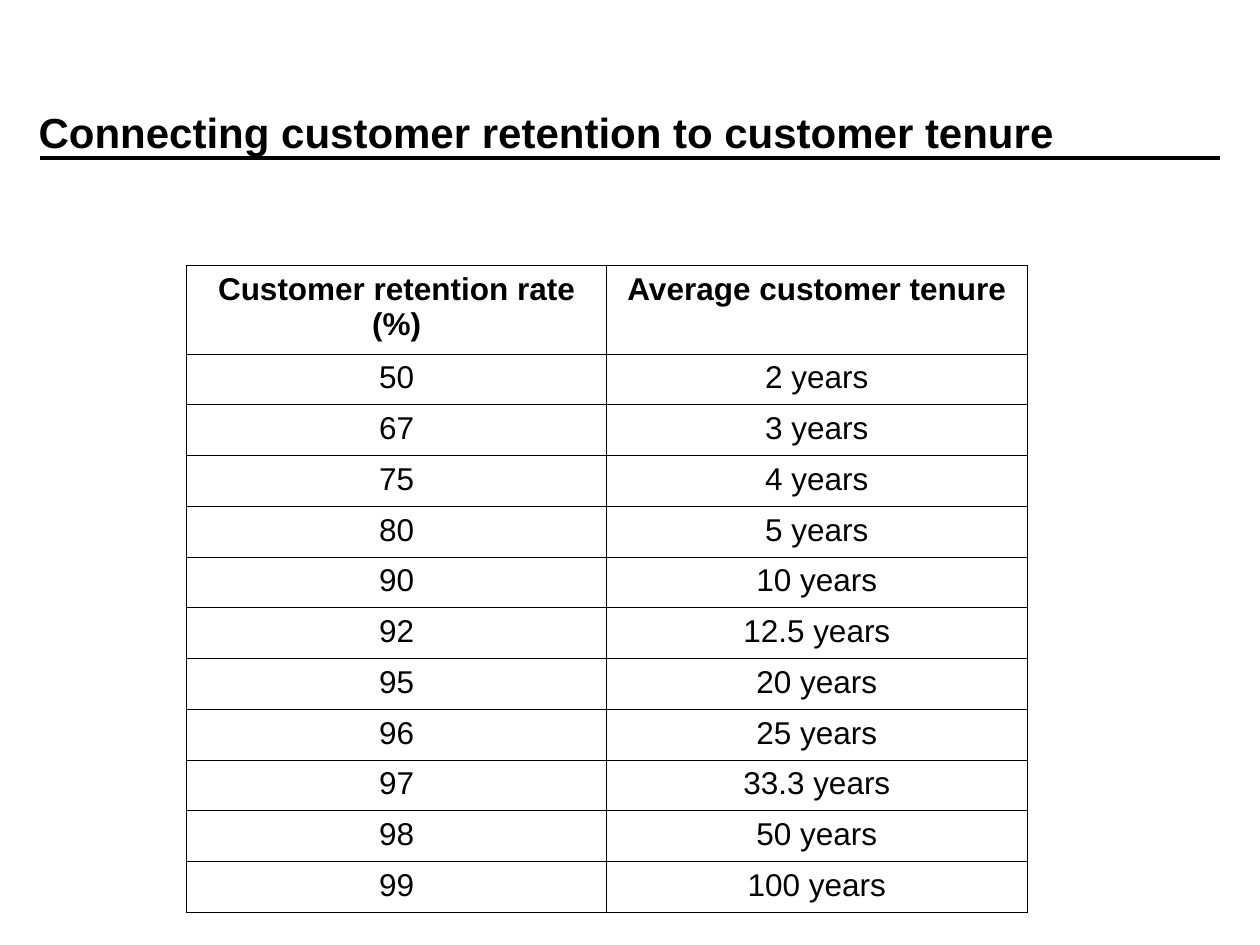
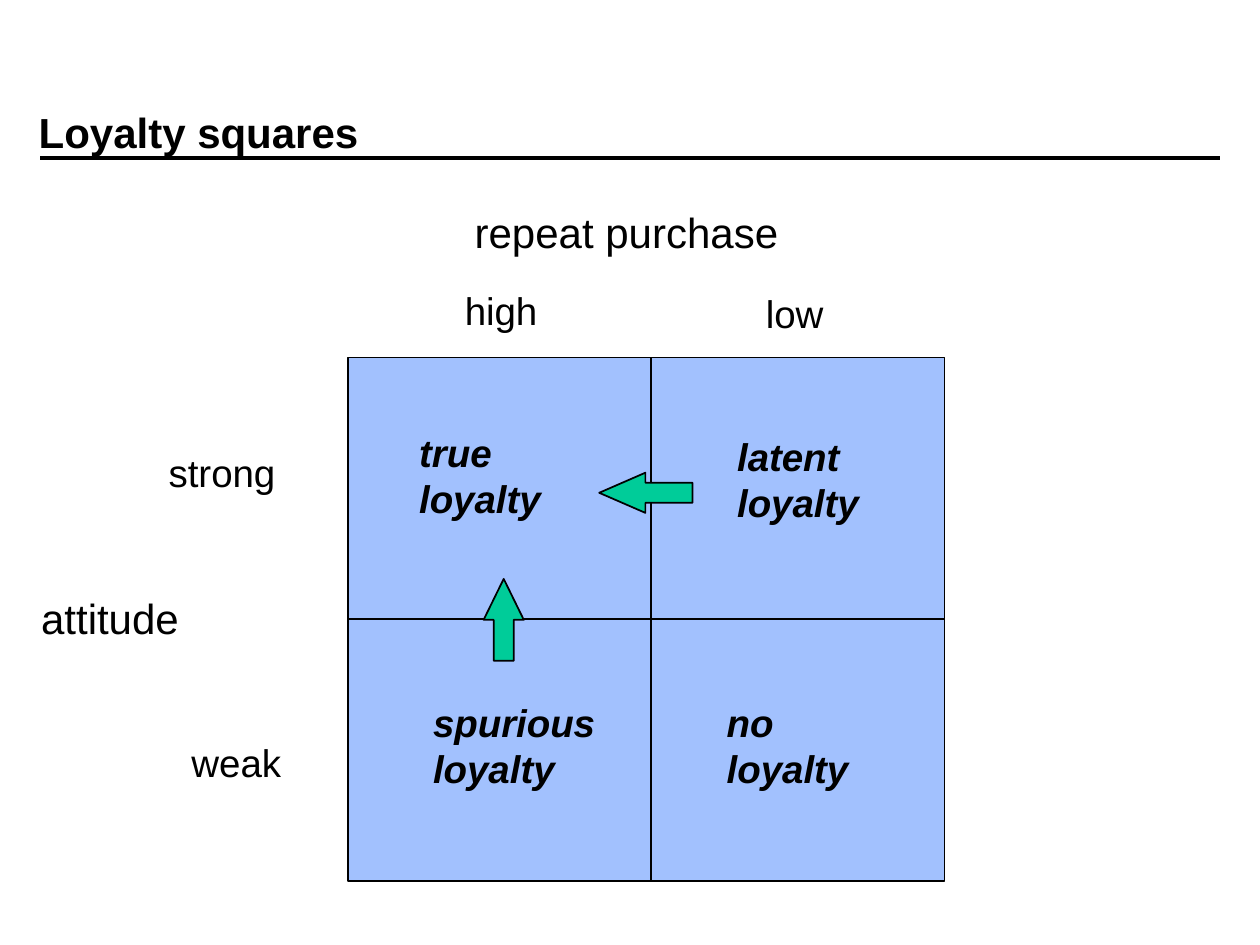
from typing import NamedTuple

from lxml.etree import SubElement
from pptx import Presentation
from pptx.dml.color import RGBColor
from pptx.enum.shapes import MSO_CONNECTOR, MSO_SHAPE as Preset
from pptx.enum.text import MSO_ANCHOR as Anchor, MSO_AUTO_SIZE as AutoSize, PP_ALIGN as Align
from pptx.oxml import parse_xml
from pptx.oxml.ns import nsdecls, qn
from pptx.util import Cm, Pt

COLORS = {"ink": "000000", "square": "A2C1FE", "arrow": "00CC99"}
FONT = "Arial"
THIN = 1


class Label(NamedTuple):
    text: str
    left: float
    top: float
    width: float
    height: float
    size: int = 22
    emphasis: bool = False
    wrap: bool = True


class Arrow(NamedTuple):
    preset: Preset
    left: float
    top: float
    width: float
    height: float
    head: float


def color(name: str) -> RGBColor:
    return RGBColor.from_string(COLORS[name])


def write(frame, text: str, size: int = 22, bold: bool = False, italic: bool = False,
          align: Align = Align.LEFT, anchor: Anchor = Anchor.TOP, wrap: bool = True) -> None:
    """Put text into a frame, one paragraph per line."""
    frame.word_wrap = wrap
    frame.vertical_anchor = anchor
    frame.text = text
    for paragraph in frame.paragraphs:
        paragraph.alignment = align
        for run in paragraph.runs:
            font = run.font
            font.name, font.size, font.bold, font.italic = FONT, Pt(size), bold, italic
            font.color.rgb = color("ink")


def add_rule(slide, x1: float, y1: float, x2: float, y2: float, weight: float = THIN) -> None:
    rule = slide.shapes.add_connector(MSO_CONNECTOR.STRAIGHT, Cm(x1), Cm(y1), Cm(x2), Cm(y2))
    rule.line.color.rgb = color("ink")
    rule.line.width = Pt(weight)
    SubElement(rule.element.spPr, qn("a:effectLst"))


def add_block(slide, preset: Preset, left: float, top: float, width: float, height: float,
              fill: str):
    block = slide.shapes.add_shape(preset, Cm(left), Cm(top), Cm(width), Cm(height))
    block.shadow.inherit = False
    block.fill.solid()
    block.fill.fore_color.rgb = color(fill)
    block.line.color.rgb = color("ink")
    block.line.width = Pt(THIN)
    return block


def add_label(slide, label: Label) -> None:
    box = slide.shapes.add_textbox(Cm(label.left), Cm(label.top), Cm(label.width), Cm(label.height))
    write(box.text_frame, label.text, size=label.size, bold=label.emphasis,
          italic=label.emphasis, wrap=label.wrap)
    box.text_frame.auto_size = AutoSize.SHAPE_TO_FIT_TEXT


def add_arrow(slide, arrow: Arrow) -> None:
    block = add_block(slide, *arrow[:5], fill="arrow")
    block.adjustments[0] = 0.5
    block.adjustments[1] = arrow.head


def add_titled_slide(deck, title: str):
    """Blank slide with the shared rule and title."""
    slide = deck.slides.add_slide(deck.slide_layouts[6])
    add_rule(slide, 0.81, 3.18, 24.59, 3.18, weight=2)
    box = slide.shapes.add_textbox(Cm(0.53), Cm(1.07), Cm(21.59), Cm(3.18))
    write(box.text_frame, title, size=24, bold=True, anchor=Anchor.MIDDLE)
    return slide


def add_borders(cell) -> None:
    for position, side in enumerate(("lnL", "lnR", "lnT", "lnB")):
        border = parse_xml(
            f'<a:{side} {nsdecls("a")} w="{Pt(0.45)}"><a:solidFill>'
            f'<a:srgbClr val="{COLORS["ink"]}"/></a:solidFill></a:{side}>')
        cell._tc.get_or_add_tcPr().insert(position, border)


def add_tenure_table(slide, rows: list[tuple[str, str]]) -> None:
    header_height, row_height, column_width = 1.52, 0.76, 8.47
    table = slide.shapes.add_table(
        len(rows), 2, Cm(3.76), Cm(5.35), Cm(2 * column_width),
        Cm(header_height + row_height * (len(rows) - 1))).table
    table.first_row = table.horz_banding = False
    for column in table.columns:
        column.width = Cm(column_width)
    for index, values in enumerate(rows):
        is_header = index == 0
        table.rows[index].height = Cm(header_height if is_header else row_height)
        for cell, value in zip(table.rows[index].cells, values):
            cell.margin_left = cell.margin_right = Cm(0.2)
            cell.margin_top = cell.margin_bottom = Cm(0.13)
            cell.fill.background()
            add_borders(cell)
            write(cell.text_frame, value, size=18, bold=is_header, align=Align.CENTER)


deck = Presentation()
deck.slide_width, deck.slide_height = Cm(25.4), Cm(19.05)

# Slide 1: retention rate against tenure
TENURES = {50: "2", 67: "3", 75: "4", 80: "5", 90: "10", 92: "12.5",
           95: "20", 96: "25", 97: "33.3", 98: "50", 99: "100"}
retention = add_titled_slide(deck, "Connecting customer retention to customer tenure")
add_tenure_table(retention, [("Customer retention rate (%)", "Average customer tenure")]
                 + [(str(rate), f"{years} years") for rate, years in TENURES.items()])

# Slide 2: two-by-two loyalty matrix
LEFT, TOP, WIDTH, HEIGHT = 7.01, 7.21, 12.03, 10.55
DIVIDER_X, DIVIDER_Y = 13.13, TOP + HEIGHT / 2
loyalty = add_titled_slide(deck, "Loyalty squares")
add_block(loyalty, Preset.RECTANGLE, LEFT, TOP, WIDTH, HEIGHT, fill="square")
add_rule(loyalty, DIVIDER_X, TOP, DIVIDER_X, TOP + HEIGHT)
add_rule(loyalty, LEFT, DIVIDER_Y, LEFT + WIDTH, DIVIDER_Y)

LABELS = [
    # Axes and their levels
    Label("repeat purchase", 9.32, 4.04, 7.82, 1.27, size=24),
    Label("high", 9.12, 5.66, 2.31, 1.17),
    Label("low", 15.19, 5.72, 1.78, 1.17),
    Label("attitude", 0.58, 11.81, 3.28, 1.27, size=24, wrap=False),
    Label("strong", 3.15, 8.92, 2.87, 1.17),
    Label("weak", 3.61, 14.78, 2.95, 1.17),
    # Squares
    Label("true\nloyalty", 8.2, 8.53, 3.51, 3.05, emphasis=True),
    Label("latent\nloyalty", 14.61, 8.61, 3.18, 2.11, emphasis=True),
    Label("spurious\nloyalty", 8.48, 13.97, 5.08, 2.11, emphasis=True),
    Label("no\nloyalty", 14.4, 13.97, 3.18, 2.11, emphasis=True),
]
for label in LABELS:
    add_label(loyalty, label)

# Moves towards true loyalty
ARROWS = [
    Arrow(Preset.LEFT_ARROW, 12.08, 9.53, 1.88, 0.81, head=1.15),
    Arrow(Preset.UP_ARROW, 9.75, 11.67, 0.81, 1.65, head=1.02),
]
for arrow in ARROWS:
    add_arrow(loyalty, arrow)

deck.save("out.pptx")
